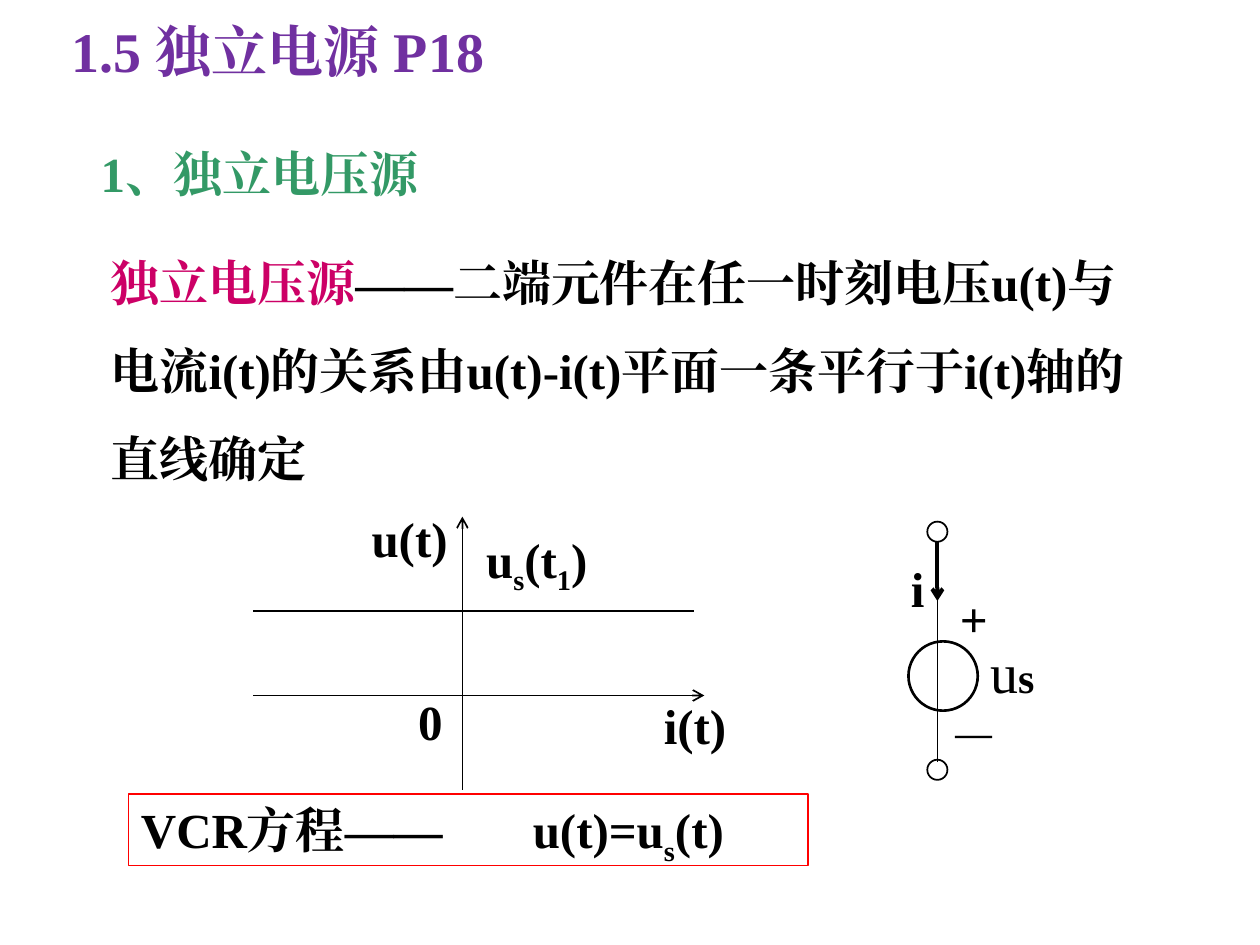
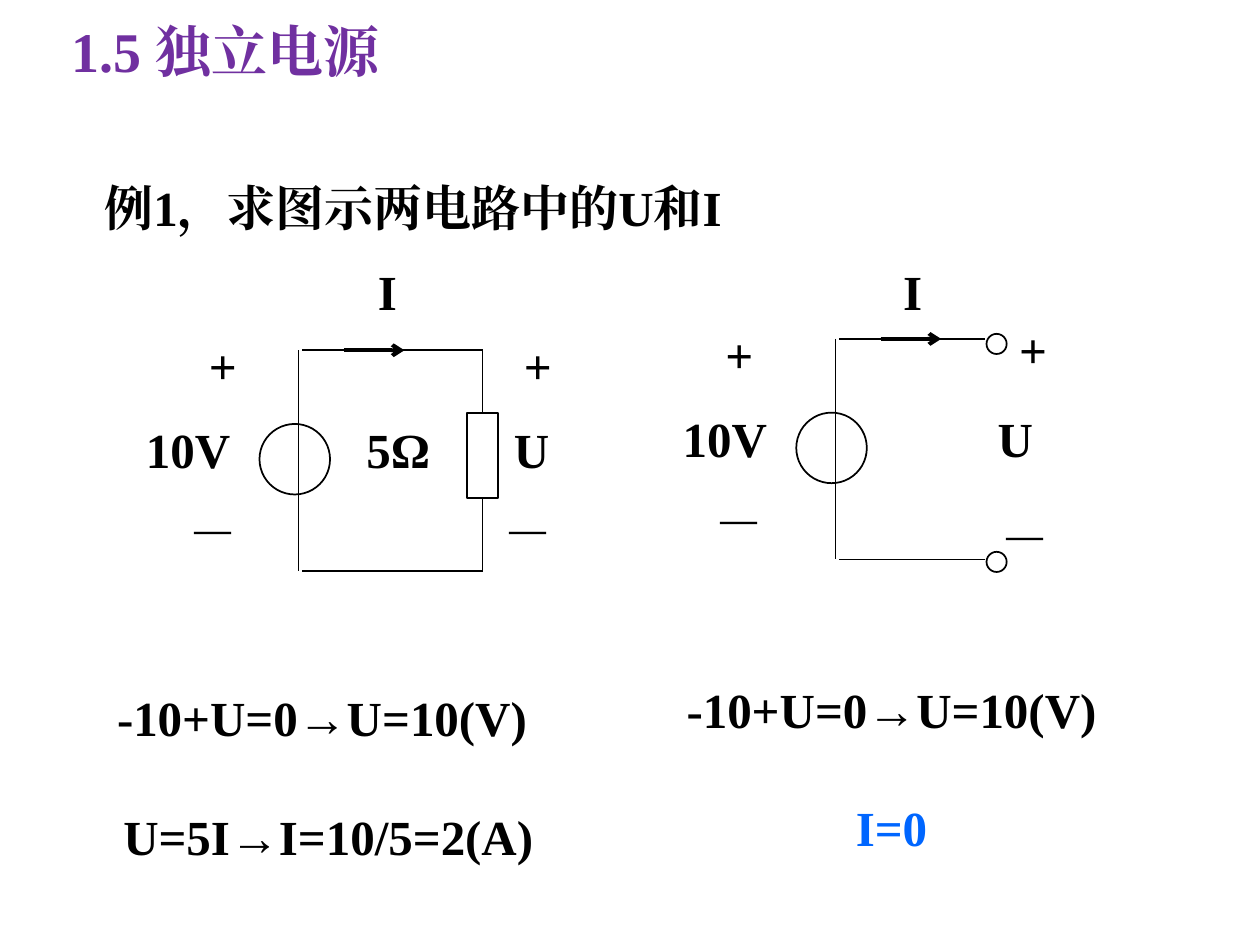
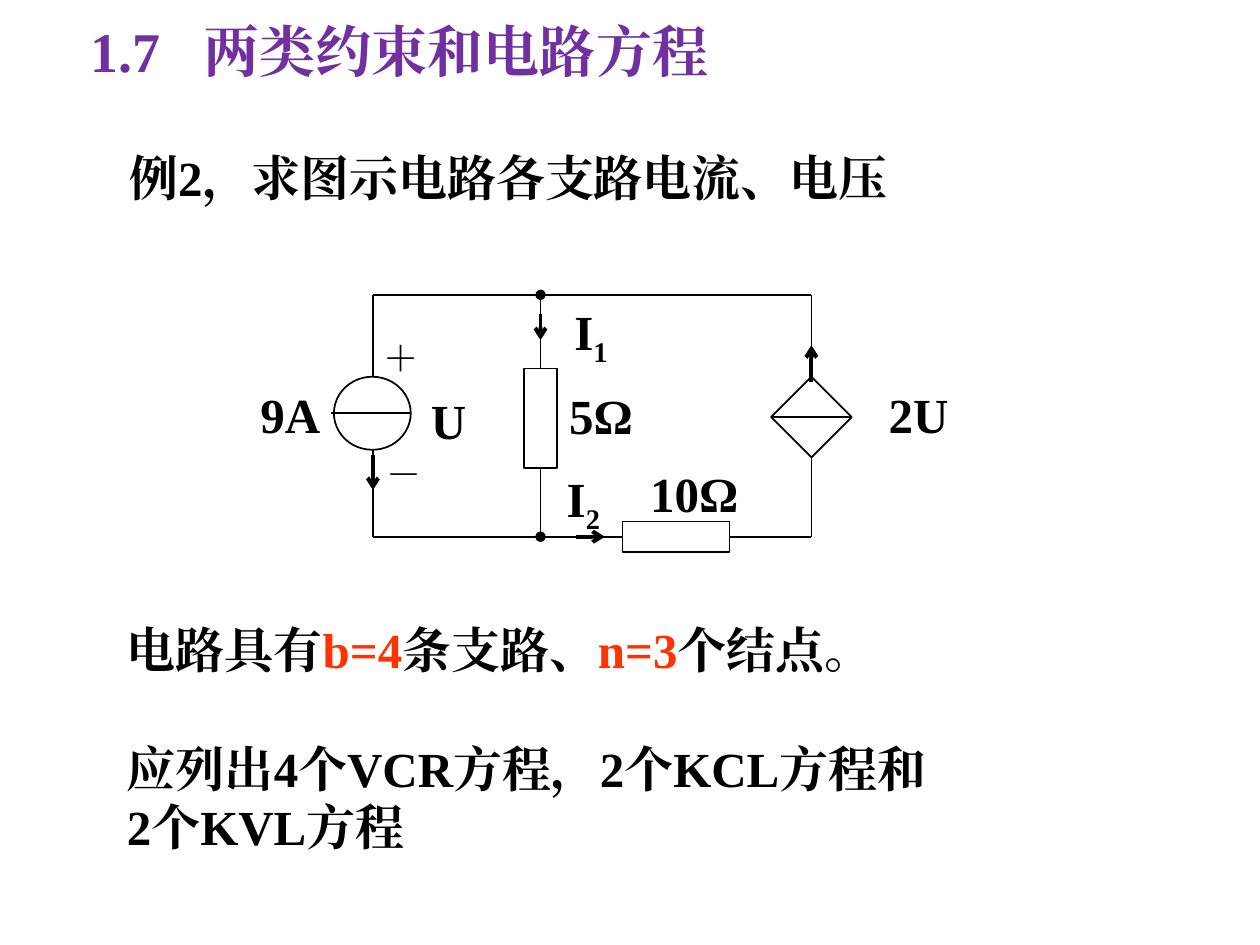
from lxml.etree import SubElement
from pptx import Presentation
from pptx.dml.color import RGBColor
from pptx.enum.lang import MSO_LANGUAGE_ID
from pptx.enum.shapes import MSO_CONNECTOR, MSO_SHAPE
from pptx.enum.text import MSO_ANCHOR, PP_ALIGN
from pptx.oxml.ns import qn
from pptx.util import Emu, Inches, Pt

SLIDE_WIDTH, SLIDE_HEIGHT = Inches(10), Inches(7.5)
COLUMN, ROW = SLIDE_WIDTH // 100, SLIDE_HEIGHT // 75
FONT = "Times New Roman"
BLACK = RGBColor(0x00, 0x00, 0x00)
PURPLE = RGBColor(0x70, 0x30, 0xA0)
GREEN = RGBColor(0x33, 0x99, 0x66)
CRIMSON = RGBColor(0xCC, 0x00, 0x66)
RED = RGBColor(0xFF, 0x00, 0x00)
ORANGE = RGBColor(0xFF, 0x33, 0x00)
BLUE = RGBColor(0x00, 0x66, 0xFF)
TERMINAL = 1.6
BLANK_LINE = 34
TOP, LEFT, BOTTOM, RIGHT = range(4)
PLUS, MINUS = "+", "－"


def place(left, top, width, height):
    """Turn grid columns and rows into slide lengths."""
    return [Emu(round(value * unit)) for value, unit in
            zip((left, top, width, height), (COLUMN, ROW, COLUMN, ROW))]


def sub(text):
    """Describe a subscript span."""
    return text, {"baseline": -25}


def tint(text, color):
    """Describe a coloured span."""
    return text, {"color": color}


def add_span(para, text, size=28, color=BLACK, bold=True, baseline=0):
    """Add one formatted run to a paragraph."""
    span = para.add_run()
    span.text = text
    font = span.font
    font.name, font.size, font.bold = FONT, Pt(size), bold
    font.color.rgb = color
    font.language_id = MSO_LANGUAGE_ID.SIMPLIFIED_CHINESE
    properties = span._r.get_or_add_rPr()
    if baseline:
        properties.set("baseline", str(baseline * 1000))
    SubElement(properties, qn("a:ea")).set("typeface", FONT)


def write(para, spans, align=PP_ALIGN.LEFT, before=0, spacing=None, tab=None,
          indent=0, **style):
    """Fill a paragraph with a string or a list of spans."""
    para.alignment = align
    if before:
        para.space_before = Pt(before)
    if spacing:
        para.line_spacing = spacing
    properties = para._p.get_or_add_pPr()
    if indent:
        properties.set("marL", str(round(indent * COLUMN)))
    if tab:
        stop = SubElement(SubElement(properties, qn("a:tabLst")), qn("a:tab"))
        stop.set("pos", str(round(tab * COLUMN)))
        stop.set("algn", "l")
    for span in [spans] if isinstance(spans, str) else spans:
        text, changes = (span, {}) if isinstance(span, str) else span
        add_span(para, text, **{**style, **changes})


def add_label(page, spans, left, top, width=7.2, height=6.9, margin=True,
              wrap=True, anchor=MSO_ANCHOR.TOP, **style):
    """Add a text box with its first paragraph and return its frame."""
    frame = page.shapes.add_textbox(*place(left, top, width, height)).text_frame
    frame.word_wrap, frame.vertical_anchor = wrap, anchor
    if not margin:
        frame.margin_left = frame.margin_right = 0
        frame.margin_top = frame.margin_bottom = 0
    write(frame.paragraphs[0], spans, **style)
    return frame


def add_labels(page, labels, **style):
    """Add short labels given as text, left and top."""
    for spans, left, top in labels:
        add_label(page, spans, left, top, **style)


def add_title(page, text, left=4.7, **style):
    """Add the slide title."""
    add_label(page, text, left, -2.3, 79.6, 12.5, anchor=MSO_ANCHOR.MIDDLE,
              size=32, color=PURPLE, **style)


def add_outline(page, kind, left, top, width, height, color=BLACK, weight=1):
    """Add an unfilled shape."""
    shape = page.shapes.add_shape(kind, *place(left, top, width, height))
    shape.shadow.inherit = False
    shape.fill.background()
    shape.line.color.rgb, shape.line.width = color, Pt(weight)
    return shape


def add_terminal(page, x, y):
    """Add an open terminal centred on a point."""
    add_outline(page, MSO_SHAPE.OVAL, x - TERMINAL / 2, y - TERMINAL / 2,
                TERMINAL, TERMINAL)


def add_wire(page, start, end, weight=1, head=None, tail=None,
             begin=None, finish=None):
    """Add a line, with optional end marks and joins to (shape, side)."""
    wire = page.shapes.add_connector(MSO_CONNECTOR.STRAIGHT, *place(*start, *end))
    if begin:
        wire.begin_connect(*begin)
    if finish:
        wire.end_connect(*finish)
    wire.line.color.rgb, wire.line.width = BLACK, Pt(weight)
    properties = wire.element.spPr
    stroke = properties.find(qn("a:ln"))
    for name, mark in (("a:headEnd", head), ("a:tailEnd", tail)):
        if mark:
            SubElement(stroke, qn(name)).set("type", mark)
    SubElement(properties, qn("a:effectLst"))


def add_current(page, start, end):
    """Add a bold current arrow."""
    add_wire(page, start, end, weight=2.25, tail="arrow")


def add_loop(page, x, y, reach):
    """Add a voltage source with its upper and lower wires."""
    depth = 17.5
    add_outline(page, MSO_SHAPE.OVAL, x - 3.1, y + 5.85, 5.6, 5.6)
    add_wire(page, (x, y), (x, y + depth))
    for level in (y, y + depth):
        add_wire(page, (x + 0.3, level), (x + reach, level))
    add_current(page, (x + 3.6, y), (x + 8.4, y))


def build_source_page(page):
    """Define the independent voltage source."""
    add_title(page, "1.5 独立电源 P18")
    add_label(page, "1、独立电压源", 7, 10.9, 42.2, 5.7, color=GREEN)
    add_label(page, [tint("独立电压源", CRIMSON),
                     "——二端元件在任一时刻电压u(t)与电流i(t)的关系由"
                     "u(t)-i(t)平面一条平行于i(t)轴的直线确定"],
              7.8, 17.2, 85.1, 22.2, spacing=1.5)

    add_wire(page, (20.1, 55.2), (55.9, 55.2), tail="arrow")
    add_wire(page, (36.7, 62.7), (36.7, 41), tail="arrow")
    add_wire(page, (20.1, 48.5), (55.1, 48.5))
    add_labels(page, [("u(t)", 28.5, 39.9), ("0", 32.2, 54.4), ("i(t)", 51.7, 54.7),
                      (["u", sub("s"), "(t", sub("1"), ")"], 37.6, 41.5)],
               width=14.2, height=5.7)

    equation = add_outline(page, MSO_SHAPE.RECTANGLE, 10.2, 63, 53.9, 5.7, color=RED)
    frame = equation.text_frame
    frame.vertical_anchor = MSO_ANCHOR.TOP
    write(frame.paragraphs[0], ["VCR方程——\tu(t)=u", sub("s"), "(t)"], tab=31.1)

    axis, upper, lower = 74.4, 42.2, 61.1
    add_outline(page, MSO_SHAPE.OVAL, 72.1, 50.9, 5.5, 5.5, weight=1.5)
    add_wire(page, (axis, 43), (axis, 60.5))
    add_current(page, (axis, 43), (axis, 47.7))
    for level in (upper, lower):
        add_terminal(page, axis, level)
    add_labels(page, [(PLUS, 75.2, 46.2), ("i", 71.3, 43.8), (MINUS, 74.4, 55.6),
                      ([("u", {"size": 32, "bold": False}), ("s", {"size": 24})],
                       77.6, 50.1)])


def build_example_one(page):
    """Solve a closed and an open circuit."""
    add_title(page, "1.5 独立电源")
    add_label(page, "例1，求图示两电路中的U和I", 8.3, 14.1, 72.5, 4.7, margin=False)

    add_loop(page, 23.7, 27.8, 14.6)
    resistor = add_outline(page, MSO_SHAPE.RECTANGLE, 37.05, 32.75, 2.5, 6.8)
    add_wire(page, (38.3, 27.8), (38.3, 32.75), finish=(resistor, TOP))
    add_wire(page, (38.3, 45.3), (38.3, 39.55), finish=(resistor, BOTTOM))
    add_loop(page, 66.3, 26.9, 11.9)
    for level in (27.3, 44.6):
        add_terminal(page, 79.1, level)

    add_labels(page, [("I", 29, 20.3), (PLUS, 15.6, 26.1), (PLUS, 40.6, 26.1),
                      ("10V", 10.6, 32.8), ("5Ω", 28.1, 32.8), ("U", 39.8, 32.8),
                      (MINUS, 14, 39.4), (MINUS, 39, 39.4),
                      ("I", 70.7, 20.3), (PLUS, 56.6, 25.3), (PLUS, 79.9, 24.9),
                      ("10V", 53.2, 31.9), ("U", 78.2, 31.9),
                      (MINUS, 55.7, 38.6), (MINUS, 78.4, 39.9)], width=11.7)

    for left, top, result, style in (
            (4.7, 54.1, "U=5I→I=10/5=2(A)", {"indent": 1}),
            (49.9, 53.4, "I=0", {"color": BLUE})):
        frame = add_label(page, "-10+U=0→U=10(V)", left, top, 41.7, 15.1,
                          align=PP_ALIGN.CENTER)
        write(frame.add_paragraph(), result, align=PP_ALIGN.CENTER,
              before=BLANK_LINE, **style)


def build_example_two(page):
    """Set out a circuit with a dependent source and count its equations."""
    add_title(page, "1.7\t两类约束和电路方程", left=6.2, tab=9)
    add_label(page, "例2，求图示电路各支路电流、电压", 7, 11.7, 66.7, 4.7,
              margin=False, align=PP_ALIGN.CENTER)

    left, middle, right, upper, lower = 29.6, 42.9, 64.4, 23.4, 42.6
    add_outline(page, MSO_SHAPE.OVAL, 26.5, 29.9, 6.1, 5.8)
    branch = add_outline(page, MSO_SHAPE.RECTANGLE, middle - 1.3, 29.25, 2.6, 7.9)
    bridge = add_outline(page, MSO_SHAPE.RECTANGLE, 49.4, lower - 1.2, 8.5, 2.4)
    source = add_outline(page, MSO_SHAPE.DIAMOND, right - 3.2, 29.9, 6.4, 6.4)
    add_wire(page, (left, upper), (right, upper))
    add_wire(page, (left, upper), (left, 29.9))
    add_wire(page, (left, 35.7), (left, lower))
    add_wire(page, (26.3, 32.8), (32.6, 32.8))
    add_wire(page, (middle, upper), (middle, 29.25), head="oval", finish=(branch, TOP))
    add_wire(page, (middle, 37.15), (middle, lower), tail="oval", begin=(branch, BOTTOM))
    add_wire(page, (left, lower), (49.4, lower), finish=(bridge, LEFT))
    add_wire(page, (57.9, lower), (right, lower), begin=(bridge, RIGHT))
    add_wire(page, (right, upper), (right, 29.9), finish=(source, TOP))
    add_wire(page, (right, 36.3), (right, lower), begin=(source, BOTTOM))
    add_wire(page, (61.2, 33.1), (67.6, 33.1), begin=(source, LEFT),
             finish=(source, RIGHT))
    for start, end in (((right, 30.3), (right, 27.4)), ((middle, 24.9), (middle, 27)),
                       ((left, 36.1), (left, 38.9)), ((45.7, lower), (48, lower))):
        add_current(page, start, end)

    centred = {"align": PP_ALIGN.CENTER, "wrap": False, "height": 5.7}
    add_labels(page, [("2U", 67.9, 30), ("5Ω", 42.7, 30.1), ("10Ω", 50.1, 36.3),
                      ("9A", 18.05, 30), ("U", 30.6, 30.5),
                      (["I", sub("1")], 41.9, 23.4), (["I", sub("2")], 41.3, 36.7)],
               width=10, **centred)
    add_labels(page, [("＋", 26.8, 26.2), (MINUS, 27.1, 35.4)],
               width=10, size=20, **centred)

    frame = add_label(page, ["电路具有", tint("b=4", ORANGE), "条支路、",
                             tint("n=3", ORANGE), "个结点。"], 9.1, 48.7, 86.6, 19.9)
    write(frame.add_paragraph(), "应列出4个VCR方程，2个KCL方程和", before=BLANK_LINE)
    write(frame.add_paragraph(), "2个KVL方程")


def main():
    """Build and save the deck."""
    deck = Presentation()
    deck.slide_width, deck.slide_height = SLIDE_WIDTH, SLIDE_HEIGHT
    blank = deck.slide_layouts[6]
    for build in (build_source_page, build_example_one, build_example_two):
        build(deck.slides.add_slide(blank))
    deck.save("out.pptx")


if __name__ == "__main__":
    main()
